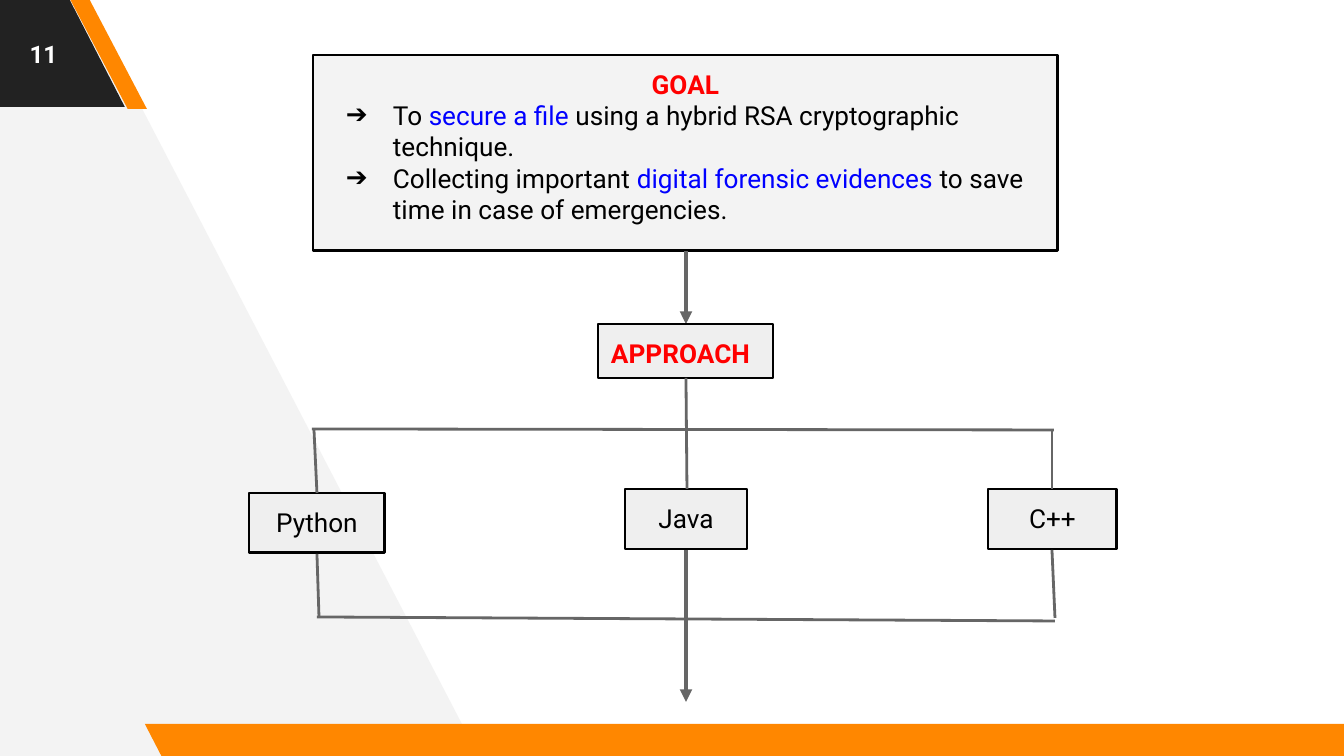
from pptx import Presentation
from pptx.dml.color import RGBColor
from pptx.enum.shapes import MSO_CONNECTOR, MSO_SHAPE
from pptx.enum.text import MSO_ANCHOR, PP_ALIGN
from pptx.oxml.ns import qn
from pptx.util import Emu, Pt
from lxml.etree import SubElement

FONT = "Roboto"
BLACK, WHITE, RED, BLUE = "000000", "FFFFFF", "FF0000", "0000FF"
DARK, ORANGE, PALE, BOX_GREY, LINE_GREY = "222222", "FF8700", "F3F3F3", "EFEFEF", "666666"
EMU_PER_PX = 9144000 / 1344
PADDING = 13
LANGUAGES = [
    ("Python", (249, 493, 136, 60)),
    ("Java", (625, 489, 122, 60)),
    ("C++", (988, 489, 129, 60)),
]
BRACKET_LINES = [
    ((312, 429), (1054, 430)),
    ((314, 430), (317, 493)),
    ((1052, 489), (1052, 430)),
    ((317, 554), (319, 616)),
    ((1052, 550), (1055, 618)),
    ((317, 617), (1055, 621)),
    ((686, 378), (687, 489)),
]
GOALS = [
    [("To ", BLACK), ("secure a file", BLUE),
     (" using a hybrid RSA cryptographic technique.", BLACK)],
    [("Collecting important ", BLACK), ("digital forensic evidences", BLUE),
     (" to save time in case of emergencies.", BLACK)],
]


def px(length):
    """Turn pixels into EMU."""
    return Emu(round(length * EMU_PER_PX))


def color(value):
    """Turn a hex string into a colour."""
    return RGBColor.from_string(value)


def paint(shape, fill, outline=None):
    """Give a shape its fill and outline, without a shadow."""
    shape.shadow.inherit = False
    shape.fill.solid()
    shape.fill.fore_color.rgb = color(fill)
    if outline:
        shape.line.color.rgb = color(outline)
        shape.line.width = Pt(1.5)
    else:
        shape.line.fill.background()


def add_span(para, text, ink, bold=False, size=14):
    """Append a formatted run to a paragraph."""
    span = para.add_run()
    span.text = text
    span.font.name = FONT
    span.font.size = Pt(size)
    span.font.bold = bold
    span.font.color.rgb = color(ink)


def prepare_text(shape, anchor=MSO_ANCHOR.TOP):
    """Set wrapping, padding and anchor, and return the text frame."""
    frame = shape.text_frame
    frame.word_wrap = True
    frame.vertical_anchor = anchor
    frame.margin_left = frame.margin_right = px(PADDING)
    frame.margin_top = frame.margin_bottom = px(PADDING)
    return frame


def add_slant(page, bounds, slant, fill):
    """Add a mirrored parallelogram."""
    shape = page.shapes.add_shape(MSO_SHAPE.PARALLELOGRAM, *map(px, bounds))
    shape.adjustments[0] = slant
    shape._element.spPr.find(qn("a:xfrm")).set("flipH", "1")
    paint(shape, fill)


def add_backdrop(page):
    """Add the pale wedge and the slanted bands."""
    builder = page.shapes.build_freeform(478, 755, scale=EMU_PER_PX)
    builder.add_line_segments([(83, -5), (-8, -5), (-3, 761)], close=True)
    paint(builder.convert_to_shape(), PALE)
    add_slant(page, (-133, -3, 258, 110), 0.515, DARK)
    add_slant(page, (70, -1, 77, 110), 0.75, ORANGE)
    add_slant(page, (145, 724, 1230, 34), 0.515, ORANGE)


def add_page_number(page, number):
    """Add the page number in the top corner."""
    box = page.shapes.add_textbox(px(0), px(0), px(87), px(108))
    para = prepare_text(box, MSO_ANCHOR.MIDDLE).paragraphs[0]
    para.alignment = PP_ALIGN.CENTER
    add_span(para, number, WHITE, bold=True, size=13)


def add_box(page, bounds, label, fill=BOX_GREY, ink=BLACK, bold=False, align=PP_ALIGN.CENTER):
    """Add an outlined box with a label and return its text frame."""
    box = page.shapes.add_shape(MSO_SHAPE.RECTANGLE, *map(px, bounds))
    paint(box, fill, BLACK)
    frame = prepare_text(box)
    para = frame.paragraphs[0]
    para.alignment = align
    add_span(para, label, ink, bold)
    return frame


def add_bullet(frame, spans):
    """Append an arrow-bulleted paragraph of coloured spans."""
    para = frame.add_paragraph()
    para.alignment = PP_ALIGN.LEFT
    properties = para._p.get_or_add_pPr()
    properties.set("marL", str(px(67)))
    properties.set("indent", str(px(-47)))
    bullet_color = SubElement(properties, qn("a:buClr"))
    SubElement(bullet_color, qn("a:srgbClr"), val=BLACK)
    SubElement(properties, qn("a:buFont"), typeface=FONT)
    SubElement(properties, qn("a:buChar"), char="➔")
    for text, ink in spans:
        add_span(para, text, ink)


def add_line(page, start, end, width=1.5, arrow=False):
    """Add a straight connector, with an arrowhead if asked."""
    line = page.shapes.add_connector(MSO_CONNECTOR.STRAIGHT, *map(px, start + end))
    line.line.color.rgb = color(LINE_GREY)
    line.line.width = Pt(width)
    properties = line._element.spPr
    if arrow:
        SubElement(properties.find(qn("a:ln")), qn("a:tailEnd"), type="triangle")
    SubElement(properties, qn("a:effectLst"))


def main():
    """Build the slide and save it."""
    deck = Presentation()
    deck.slide_width, deck.slide_height = px(1344), px(756)
    page = deck.slides.add_slide(deck.slide_layouts[6])
    add_backdrop(page)
    add_page_number(page, "11")
    goal = add_box(page, (313, 55, 745, 196), "GOAL", PALE, RED, bold=True)
    for spans in GOALS:
        add_bullet(goal, spans)
    add_line(page, (686, 251), (686, 324), 2.25, arrow=True)
    add_box(page, (598, 324, 175, 54), "APPROACH", ink=RED, bold=True, align=PP_ALIGN.LEFT)
    for name, bounds in LANGUAGES:
        add_box(page, bounds, name)
    for start, end in BRACKET_LINES:
        add_line(page, start, end)
    add_line(page, (686, 550), (686, 702), 2.25, arrow=True)
    deck.save("out.pptx")


if __name__ == "__main__":
    main()
